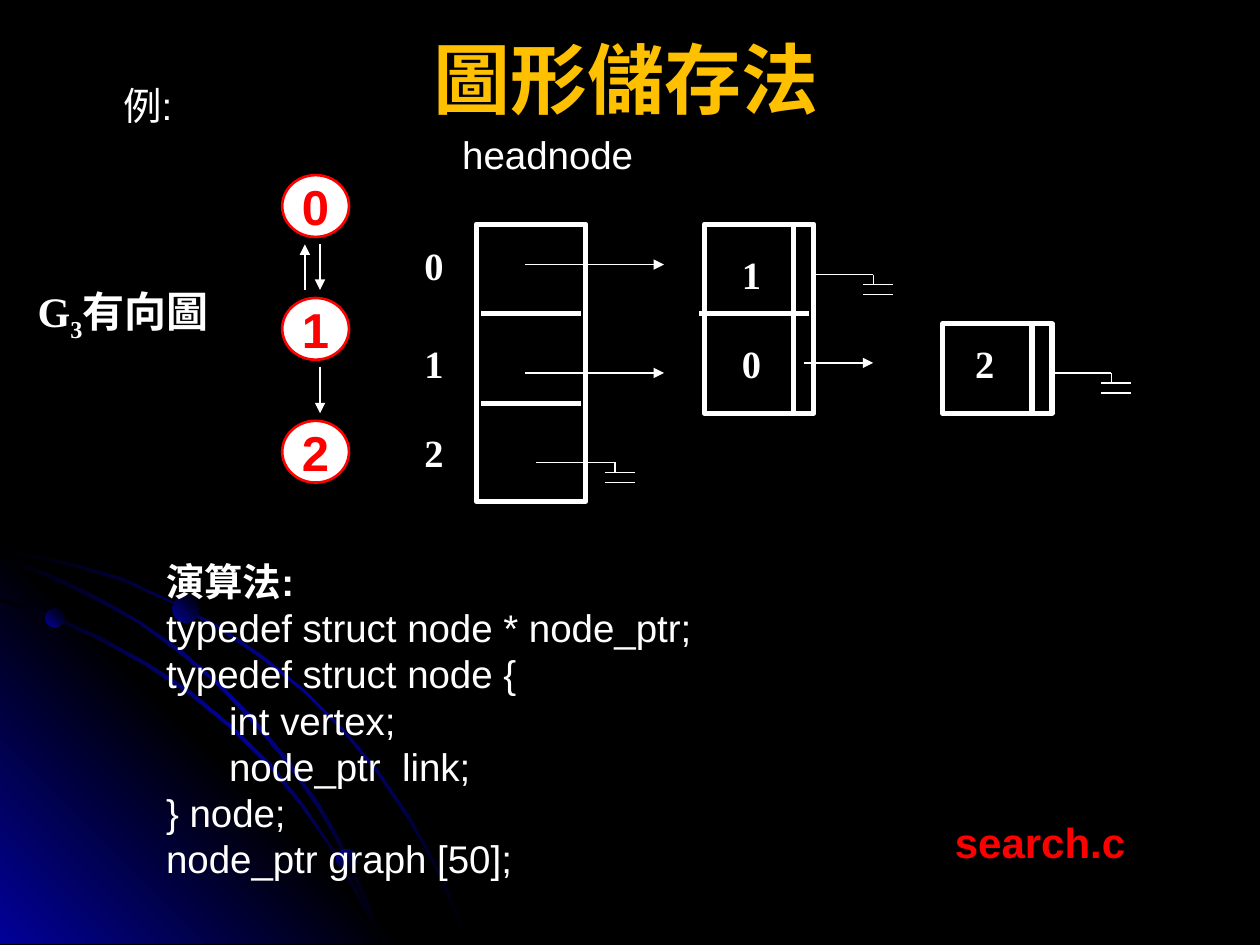
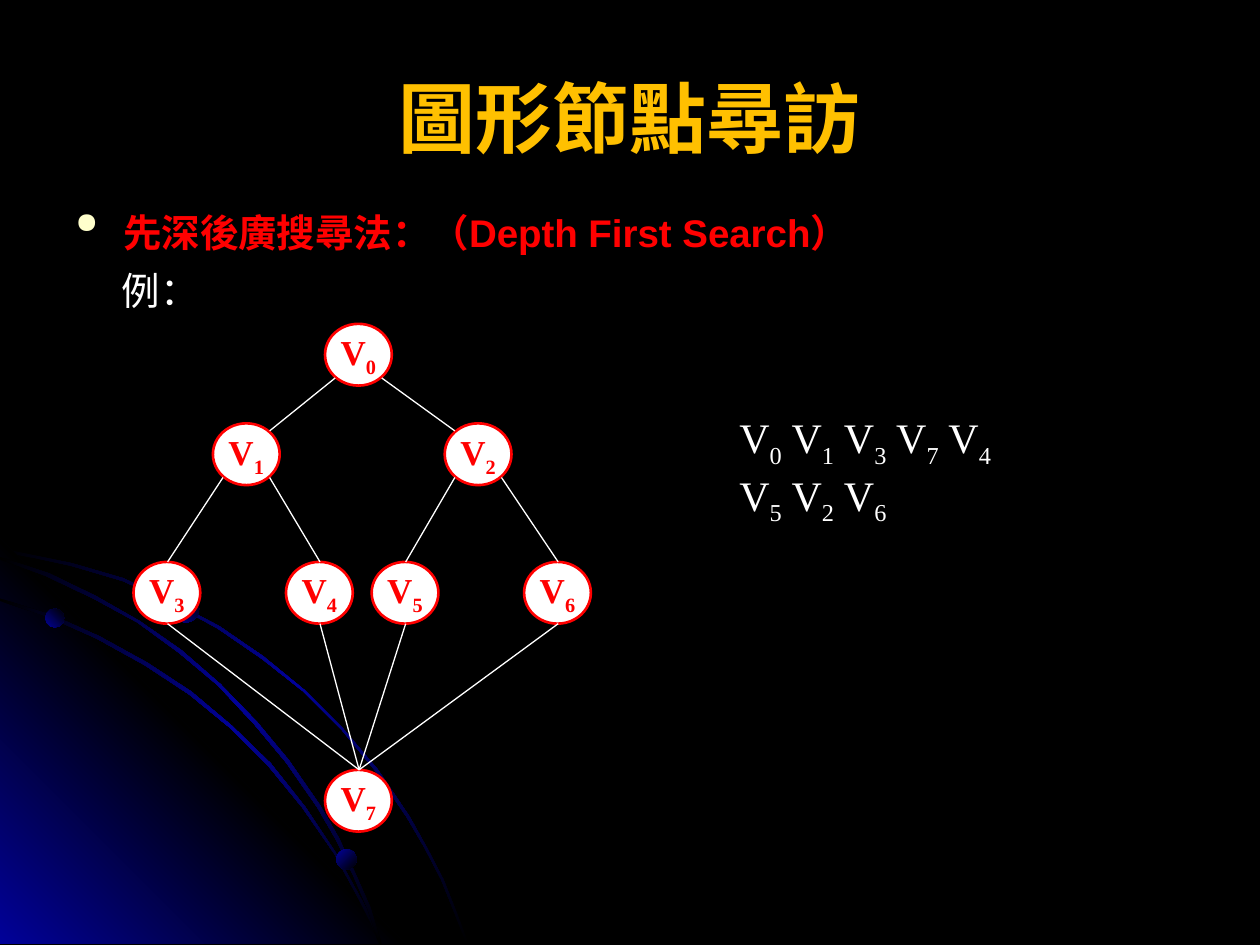
from lxml import etree
from pptx import Presentation
from pptx.dml.color import RGBColor
from pptx.enum.shapes import MSO_CONNECTOR, MSO_SHAPE
from pptx.enum.text import MSO_ANCHOR, MSO_AUTO_SIZE, PP_ALIGN
from pptx.oxml.ns import qn
from pptx.util import Inches, Pt

STRAIGHT = MSO_CONNECTOR.STRAIGHT
RECT, OVAL, NODE = MSO_SHAPE.RECTANGLE, MSO_SHAPE.OVAL, MSO_SHAPE.FLOWCHART_CONNECTOR
MIDDLE, CENTER = MSO_ANCHOR.MIDDLE, PP_ALIGN.CENTER
GROW = MSO_AUTO_SIZE.SHAPE_TO_FIT_TEXT
TITLE_ONLY = 5

BLACK, WHITE, RED, GOLD, CREAM, NAVY = "000000", "FFFFFF", "FF0000", "FFC000", "FFFFCC", "010199"
SANS, SERIF = "Arial", "Times New Roman"
NODE_W, NODE_H = 0.53, 0.49
GLOW = [(0, BLACK), (50, NAVY), (100, BLACK)]
CORNER = [(0, NAVY), (50, BLACK), (100, NAVY)]
BALL = [(0, NAVY), (100, BLACK)]


def rgb(color):
    return RGBColor.from_string(color)


def sub(parent, tag, **attrs):
    return etree.SubElement(parent, qn(tag), **attrs)


class Deck:
    def __init__(self):
        self.prs = Presentation()
        self.prs.slide_width, self.prs.slide_height = Inches(10), Inches(7.5)
        self.s = None

    def slide(self, title, left, top):
        self.s = self.prs.slides.add_slide(self.prs.slide_layouts[TITLE_ONLY])
        sp = self.s.shapes.title
        sp.left, sp.top, sp.width, sp.height = map(Inches, (left, top, 9, 1.25))
        sp.text_frame.vertical_anchor = MIDDLE
        self.fill_text(sp.text_frame, [[title]], 44, SANS, GOLD, True, CENTER)

    def fill_text(self, tf, paras, size, font, color, bold=False, align=None):
        """A run is a string, or (string, options) with sub, bold or size."""
        for i, runs in enumerate(paras):
            p = tf.add_paragraph() if i else tf.paragraphs[0]
            p.alignment = align
            for run in runs:
                text, opts = (run, {}) if isinstance(run, str) else run
                r = p.add_run()
                r.text = text
                r.font.name, r.font.size = font, Pt(opts.get("size", size))
                r.font.bold = opts.get("bold", bold)
                r.font.color.rgb = rgb(color)
                if opts.get("sub"):
                    r._r.get_or_add_rPr().set("baseline", "-25000")

    def text(self, x, y, w, h, paras, size=22, font=SANS, color=WHITE, bold=False, wrap=False):
        sp = self.s.shapes.add_textbox(*map(Inches, (x, y, w, h)))
        tf = sp.text_frame
        tf.word_wrap, tf.auto_size = wrap, GROW
        self.fill_text(tf, paras, size, font, color, bold)
        return tf

    def bullet(self, p, indent, char, color, percent):
        pPr = p._p.get_or_add_pPr()
        pPr.set("marL", str(Inches(indent)))
        pPr.set("indent", str(-Inches(indent)))
        sub(sub(pPr, "a:buClr"), "a:srgbClr", val=color)
        sub(pPr, "a:buSzPct", val=str(percent * 1000))
        sub(pPr, "a:buChar", char=char)

    def shape(self, kind, x, y, w, h, fill=None, line=None, weight=1.5):
        sp = self.s.shapes.add_shape(kind, *map(Inches, (x, y, w, h)))
        sp.shadow.inherit = False
        if fill:
            sp.fill.solid()
            sp.fill.fore_color.rgb = rgb(fill)
        else:
            sp.fill.background()
        if line:
            sp.line.color.rgb, sp.line.width = rgb(line), Pt(weight)
        else:
            sp.line.fill.background()
        return sp

    def node(self, x, y, runs, size, font):
        sp = self.shape(NODE, x, y, NODE_W, NODE_H, WHITE, RED)
        tf = sp.text_frame
        tf.word_wrap, tf.vertical_anchor = False, MIDDLE
        self.fill_text(tf, [runs], size, font, RED, True, CENTER)

    def line(self, x1, y1, x2, y2, weight=0.75, arrow=False):
        cn = self.s.shapes.add_connector(STRAIGHT, *map(Inches, (x1, y1, x2, y2)))
        cn.line.color.rgb, cn.line.width = rgb(WHITE), Pt(weight)
        if arrow:
            sub(cn.line._get_or_add_ln(), "a:tailEnd", type="triangle")
        sub(cn.element.spPr, "a:effectLst")

    def ground(self, start, x, y):
        """A wire that ends in a null-pointer symbol."""
        self.line(start, y, x, y)
        self.line(x, y, x, y + 0.08)
        for dy in (0.08, 0.16):
            self.line(x - 0.08, y + dy, x + 0.16, y + dy)

    def list_cell(self, x, y, h):
        self.shape(RECT, x, y, 0.71, h, line=WHITE, weight=3)
        self.shape(RECT, x + 0.71, y, 0.16, h, line=WHITE, weight=3)

    def gradient(self, sp, stops, angle):
        sp.fill.gradient()
        sp.fill.gradient_angle = angle
        stop_list = sp.element.spPr.find(qn("a:gradFill")).find(qn("a:gsLst"))
        for old in list(stop_list):
            stop_list.remove(old)
        for pos, color in stops:
            sub(sub(stop_list, "a:gs", pos=str(pos * 1000)), "a:srgbClr", val=color)

    def outline(self, points, stops, angle):
        pts = [(Inches(x), Inches(y)) for x, y in points]
        builder = self.s.shapes.build_freeform(*pts[0])
        builder.add_line_segments(pts[1:], close=True)
        sp = builder.convert_to_shape()
        sp.shadow.inherit = False
        sp.line.fill.background()
        self.gradient(sp, stops, angle)
        return sp

    def backdrop(self):
        """Draw the corner art on the current slide, then move it to the master."""
        master = self.prs.slide_master
        master.background.fill.solid()
        master.background.fill.fore_color.rgb = rgb(BLACK)
        art = [self.outline(ARCS[0], GLOW, 315),
               self.outline([(3.22, 7.49), (0, 7.49), (0, 4.27)], CORNER, 45)]
        art += [self.outline(arc, GLOW, 315) for arc in ARCS[1:]]
        for x, y, d, angle in [(0.36, 4.83, 0.15, 45), (2.67, 6.74, 0.16, 315), (1.37, 4.73, 0.21, 45)]:
            sp = self.shape(OVAL, x, y, d, d)
            self.gradient(sp, BALL, angle)
            art.append(sp)
        for i, sp in enumerate(art):
            sp.element.nvSpPr.cNvPr.set("id", str(100 + i))
            master.shapes.element.insert(2 + i, sp.element)


# Thin curved bands in the lower left corner: one edge out, the other back
ARCS = [
    [(0.57, 4.47), (0.28, 4.41), (0, 4.35), (0, 4.38), (0.28, 4.43), (0.56, 4.49), (0.97, 4.61),
     (1.35, 4.78), (1.73, 4.99), (2.08, 5.23), (2.41, 5.49), (2.71, 5.79), (2.98, 6.12),
     (3.23, 6.49), (3.37, 6.73), (3.5, 6.98), (3.6, 7.23), (3.7, 7.49), (3.72, 7.49),
     (3.62, 7.23), (3.52, 6.98), (3.39, 6.73), (3.25, 6.48), (3, 6.11), (2.72, 5.78),
     (2.42, 5.48), (2.09, 5.21), (1.74, 4.97), (1.36, 4.77), (0.98, 4.59)],
    [(2.85, 7.14), (2.94, 7.32), (3.01, 7.49), (3.03, 7.49), (2.96, 7.3), (2.86, 7.12),
     (2.66, 6.76), (2.42, 6.4), (2.15, 6.06), (1.84, 5.76), (1.52, 5.49), (1.17, 5.26),
     (0.79, 5.05), (0.41, 4.88), (0, 4.75), (0, 4.77), (0.39, 4.9), (0.77, 5.07), (1.15, 5.28),
     (1.5, 5.51), (1.83, 5.78), (2.13, 6.08), (2.4, 6.41), (2.65, 6.77)],
    [(0, 4.42), (0, 4.44), (0.36, 4.57), (0.74, 4.75), (1.09, 4.94), (1.42, 5.18), (1.73, 5.44),
     (2.02, 5.75), (2.27, 6.05), (2.52, 6.41), (2.67, 6.67), (2.8, 6.94), (2.92, 7.22),
     (3.01, 7.49), (3.03, 7.49), (2.94, 7.2), (2.82, 6.93), (2.69, 6.65), (2.54, 6.39),
     (2.29, 6.03), (2.04, 5.73), (1.75, 5.43), (1.44, 5.16), (1.11, 4.93), (0.76, 4.73),
     (0.39, 4.55)],
]
SUB = {"sub": True}

d = Deck()

# Slide 1: adjacency lists
d.slide("圖形儲存法 ", 0.54, -0.01)
d.backdrop()
d.text(0.2, 2.22, 1.65, 0.5, [["G", ("3", SUB), "有向圖"]], 24, SERIF, bold=True, wrap=True)
d.text(0.88, 0.6, 0.59, 0.47, [["例:"]])

# Directed graph
for i in range(3):
    d.node(2.24, 1.39 + i * 0.975, [str(i)], 28, SANS)
for x, start, end in [(2.54, 1.94, 2.3), (2.42, 2.3, 1.94), (2.54, 2.91, 3.28)]:
    d.line(x, start, x, end, arrow=True)

# Declarations
code = ["typedef struct node * node_ptr;", "typedef struct node {", "\tint vertex;",
        "\tnode_ptr  link;", "} node;", "node_ptr graph [50]; "]
d.text(1.22, 4.38, 4.43, 2.69, [[("演算法:", {"bold": True})]] + [[row] for row in code])

# Head nodes and list cells
d.text(3.57, 0.99, 1.65, 0.47, [["headnode "]])
d.shape(RECT, 3.78, 1.78, 0.87, 2.2, line=WHITE, weight=3)
d.list_cell(5.59, 1.78, 1.5)
d.list_cell(7.48, 2.57, 0.71)
for x1, x2, y in [(3.82, 4.61, 2.49), (3.82, 4.61, 3.2), (5.55, 6.42, 2.49)]:
    d.line(x1, y, x2, y, weight=3)
for x, y, label in [(3.27, 1.87, "0"), (3.27, 2.65, "1"), (3.27, 3.36, "2"),
                    (5.79, 1.94, "1"), (5.79, 2.65, "0"), (7.64, 2.65, "2")]:
    d.text(x, y, 0.35, 0.47, [[label]], font=SERIF, bold=True)

# Pointers
for x1, x2, y in [(4.17, 5.27, 2.1), (4.17, 5.27, 2.96), (6.38, 6.93, 2.88)]:
    d.line(x1, y, x2, y, arrow=True)
for start, x, y in [(4.25, 4.88, 3.67), (6.46, 6.93, 2.18), (8.35, 8.82, 2.96)]:
    d.ground(start, x, y)
d.text(7.48, 6.43, 1.57, 0.51, [["search.c"]], 24, color=RED, bold=True, wrap=True)

# Slide 2: depth first search
d.slide("圖形節點尋訪", 0.5, 0.3)
tf = d.text(0.5, 1.47, 9, 0.66, [["先深後廣搜尋法：（Depth First Search）", (" ", {"size": 32})]],
            color=RED, bold=True, wrap=True)
tf.paragraphs[0].space_before = Pt(6)
d.bullet(tf.paragraphs[0], 0.38, "●", CREAM, 75)
d.text(0.87, 2.04, 0.9, 0.5, [["例：", (" ", {"size": 24})]])

# Graph: vertices, then edges between ports of the vertices
vertices = [(2.58, 2.57), (1.69, 3.36), (3.53, 3.36), (1.06, 4.46), (2.27, 4.46),
            (2.95, 4.46), (4.16, 4.46), (2.58, 6.11)]
ports = {"N": (0.27, 0), "S": (0.27, NODE_H), "NW": (0.08, 0.06), "NE": (0.45, 0.06),
         "SW": (0.08, 0.43), "SE": (0.45, 0.43)}
edges = [(0, "SW", 1, "NE"), (0, "SE", 2, "NW"), (1, "SW", 3, "N"), (1, "SE", 4, "N"),
         (2, "SW", 5, "N"), (2, "SE", 6, "N")] + [(v, "S", 7, "N") for v in range(3, 7)]


def port(vertex, side):
    return [a + b for a, b in zip(vertices[vertex], ports[side])]


for i, (x, y) in enumerate(vertices):
    d.node(x, y, ["V", (str(i), SUB)], 20, SERIF)
for a, side_a, b, side_b in edges:
    d.line(*port(a, side_a), *port(b, side_b))

# Visiting order
order = [[run for i, v in enumerate(row) for run in (" V" if i else "V", (v, SUB))]
         for row in ("01374", "526")]
d.text(5.77, 3.22, 2.3, 0.9, order, 24, SERIF)

d.prs.save("out.pptx")
